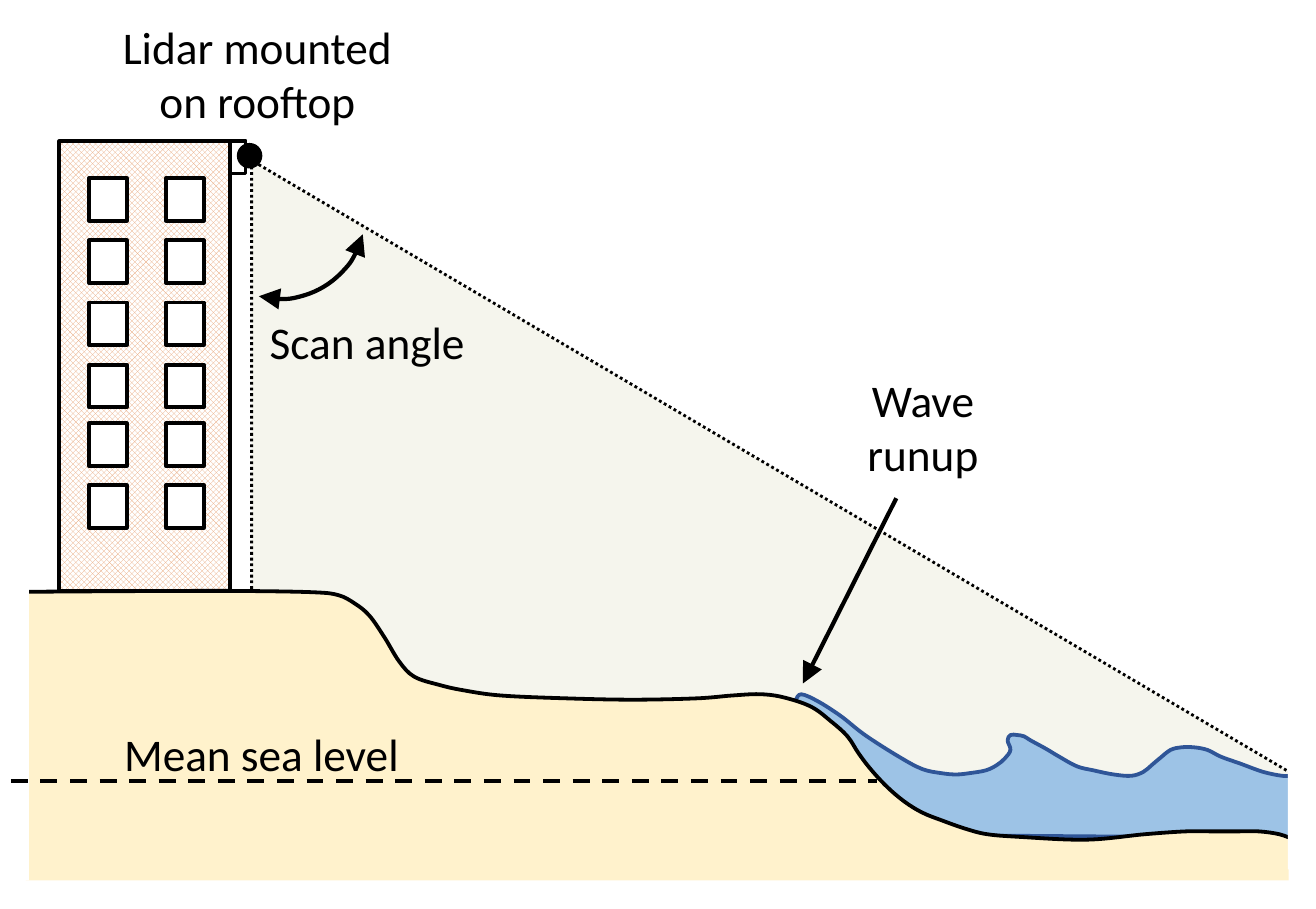
from dataclasses import dataclass

from lxml import etree
from pptx import Presentation
from pptx.dml.color import RGBColor
from pptx.enum.dml import MSO_LINE, MSO_PATTERN
from pptx.enum.shapes import MSO_CONNECTOR, MSO_SHAPE
from pptx.enum.text import MSO_AUTO_SIZE, PP_ALIGN
from pptx.oxml.ns import qn
from pptx.util import Pt

RECTANGLE, ELLIPSE, ARC = MSO_SHAPE.RECTANGLE, MSO_SHAPE.OVAL, MSO_SHAPE.ARC
TRIANGLE = MSO_SHAPE.RIGHT_TRIANGLE
DOTTED, DASHED = MSO_LINE.ROUND_DOT, MSO_LINE.DASH
STRAIGHT = MSO_CONNECTOR.STRAIGHT
TRELLIS = MSO_PATTERN.TRELLIS
CENTER = PP_ALIGN.CENTER
FIT_SHAPE = MSO_AUTO_SIZE.SHAPE_TO_FIT_TEXT


@dataclass
class Theme:
    ink: RGBColor = RGBColor(0x00, 0x00, 0x00)
    paper: RGBColor = RGBColor(0xFF, 0xFF, 0xFF)
    beam: RGBColor = RGBColor(0xF5, 0xF5, 0xED)
    brick: RGBColor = RGBColor(0xE9, 0xA9, 0x7F)
    sand: RGBColor = RGBColor(0xFF, 0xF2, 0xCC)
    water: RGBColor = RGBColor(0x9D, 0xC3, 0xE6)
    wave: RGBColor = RGBColor(0x2F, 0x55, 0x97)
    font: str = "Calibri"
    label_size: Pt = Pt(24)
    outline: Pt = Pt(2)
    dotted: Pt = Pt(1.5)
    marker: Pt = Pt(2.25)


theme = Theme()
deck = Presentation()
deck.slide_width, deck.slide_height = Pt(697.7), Pt(481.7)
page = deck.slides.add_slide(deck.slide_layouts[6])
shapes = page.shapes


def paint(shape, fill=None, line=None, weight=theme.outline):
    shape.shadow.inherit = False
    if fill is None:
        shape.fill.background()
    else:
        shape.fill.solid()
        shape.fill.fore_color.rgb = fill
    if line is None:
        shape.line.fill.background()
    else:
        shape.line.color.rgb = line
        shape.line.width = weight
    return shape


def draw(kind, left, top, width, height, *look):
    return paint(shapes.add_shape(kind, Pt(left), Pt(top), Pt(width), Pt(height)), *look)


scan_area = draw(TRIANGLE, 133.4, 85, 553.7, 326.2, theme.beam, theme.ink, theme.dotted)
scan_area.line.dash_style = DOTTED
draw(RECTANGLE, 110, 74.7, 20.2, 17.3, None, theme.ink)
building = draw(RECTANGLE, 31.4, 74.9, 90.7, 238.3, None, theme.ink)
building.fill.patterned()
building.fill.pattern = TRELLIS
building.fill.fore_color.rgb = theme.brick
building.fill.back_color.rgb = theme.paper

water_surface = [
    (421.9, 370.8), (424.8, 367.9), (433.4, 371.5), (445.7, 379.4), (458.6, 389.5),
    (476.6, 401), (488.9, 407.5), (499, 409.7), (506.9, 410.4), (514.1, 409.7),
    (522.7, 408.2), (528.5, 405.4), (532.8, 401.8), (535.7, 397.4), (534.2, 392.4),
    (535.7, 389.5), (539.3, 389.5), (542.9, 390.2), (546.5, 392.4), (554.4, 396.7),
    (561.6, 401), (571, 406.1), (579.6, 408.2), (590.4, 410.4), (599.8, 411.1),
    (606.2, 409), (610.6, 405.4), (614.9, 401.8), (620.6, 397.4), (626.4, 396),
    (632.9, 396), (640.1, 397.4), (647.3, 401), (657.4, 404.6), (669.6, 409),
    (679.7, 411.1), (685.4, 411.1),
]
ground_surface = [
    (5, 313.7), (86, 313.2), (129, 313.2), (166.3, 313.9), (179.3, 315.4),
    (187.9, 319.7), (195.8, 326.2), (203.8, 337.7), (211.7, 350.6), (219.6, 358.6),
    (232.6, 362.9), (245.5, 365.8), (265.7, 368.6), (300.2, 370.1), (335.5, 370.8),
    (369.4, 370.1), (388.1, 368.6), (402.5, 367.9), (414.7, 369.4), (429.8, 374.4),
    (440.6, 382.3), (449.3, 390.2), (455, 398.9), (461.5, 407.5), (470.2, 416.9),
    (479.5, 424.8), (488.9, 430.6), (499.7, 434.9), (511.9, 439.2), (523.4, 442.1),
    (540.7, 443.5), (576, 445), (607, 442.1), (628.6, 440.6), (643, 440.6),
    (656, 440.6), (667.4, 440.6), (678.2, 442.1), (686.2, 445),
]
for surface, base, fill, line in (
    (water_surface, [(686, 444), (421.9, 442)], theme.water, theme.wave),
    (ground_surface, [(685.4, 459.4), (5.8, 441.4)], theme.sand, theme.ink),
):
    outline = [(Pt(x), Pt(y)) for x, y in surface + base]
    builder = shapes.build_freeform(*outline[0])
    builder.add_line_segments(outline[1:], close=True)
    terrain = paint(builder.convert_to_shape(), fill, line)
    origin = (terrain.left, terrain.top)
    knots = outline[:len(surface)]
    padded = [knots[0], *knots, knots[-1]]
    segments = list(terrain.element.iter(qn("a:lnTo")))
    for segment, before, start, end, after in zip(
        segments, padded, padded[1:], padded[2:], padded[3:]
    ):
        segment.tag = qn("a:cubicBezTo")
        handles = (start, before, end), (end, after, start)
        for position, (anchor, behind, ahead) in enumerate(handles):
            x, y = (
                round(a + (n - b) / 6 - o)
                for a, b, n, o in zip(anchor, behind, ahead, origin)
            )
            handle = etree.Element(qn("a:pt"), x=str(x), y=str(y))
            segment.insert(position, handle)

draw(ELLIPSE, 126.6, 76.8, 11.5, 11.5, theme.ink, theme.ink)

for left, top, width, height, fill in (
    (13.7, 449.3, 669.6, 17.3, theme.sand),
    (682.8, 393.8, 12.2, 67, theme.paper),
    (-3.6, 57.6, 19, 409, theme.paper),
    (15.5, 438.1, 434.2, 17.3, theme.sand),
):
    draw(RECTANGLE, left, top, width, height, fill)

for top in (94.5, 127.4, 160.3, 193.3, 224.4, 257.2):
    for left in (47.1, 87.9):
        draw(RECTANGLE, left, top, 20.2, 22.5, theme.paper, theme.ink)

scan_arc = draw(ARC, 103, 67.7, 90.7, 90.7, None, theme.ink, theme.marker)
scan_arc.rotation = 104.2

sea_level = shapes.add_connector(STRAIGHT, Pt(5.8), Pt(413.7), Pt(465.1), Pt(413.7))
runup_arrow = shapes.add_connector(STRAIGHT, Pt(475.2), Pt(264), Pt(425.7), Pt(362.2))
for connector in (sea_level, runup_arrow):
    connector.line.color.rgb = theme.ink
    connector.line.width = theme.marker
    etree.SubElement(connector.element.spPr, qn("a:effectLst"))
sea_level.line.dash_style = DASHED

for marker, ends in ((scan_arc, ("a:headEnd", "a:tailEnd")), (runup_arrow, ("a:tailEnd",))):
    for end in ends:
        outline = marker.element.spPr.get_or_add_ln()
        etree.SubElement(outline, qn(end), type="triangle", w="lg", len="lg")

for left, top, width, height, lines in (
    (34.9, -4.3, 203, 87.1, ("Lidar mounted", "on rooftop")),
    (113.3, 151.9, 162.7, 58.3, ("Scan angle",)),
    (430.6, 182.6, 117.4, 87.1, ("Wave", "runup")),
    (36, 370.4, 205.2, 58.3, ("Mean sea level",)),
):
    box = shapes.add_textbox(Pt(left), Pt(top), Pt(width), Pt(height))
    frame = box.text_frame
    frame.word_wrap = False
    frame.auto_size = FIT_SHAPE
    frame.margin_left = frame.margin_right = Pt(28.8)
    frame.margin_top = frame.margin_bottom = Pt(14.4)
    frame.text = "\n".join(lines)
    for para in frame.paragraphs:
        para.alignment = CENTER
        para.font.name = theme.font
        para.font.size = theme.label_size
        para.font.color.rgb = theme.ink

deck.save("out.pptx")
